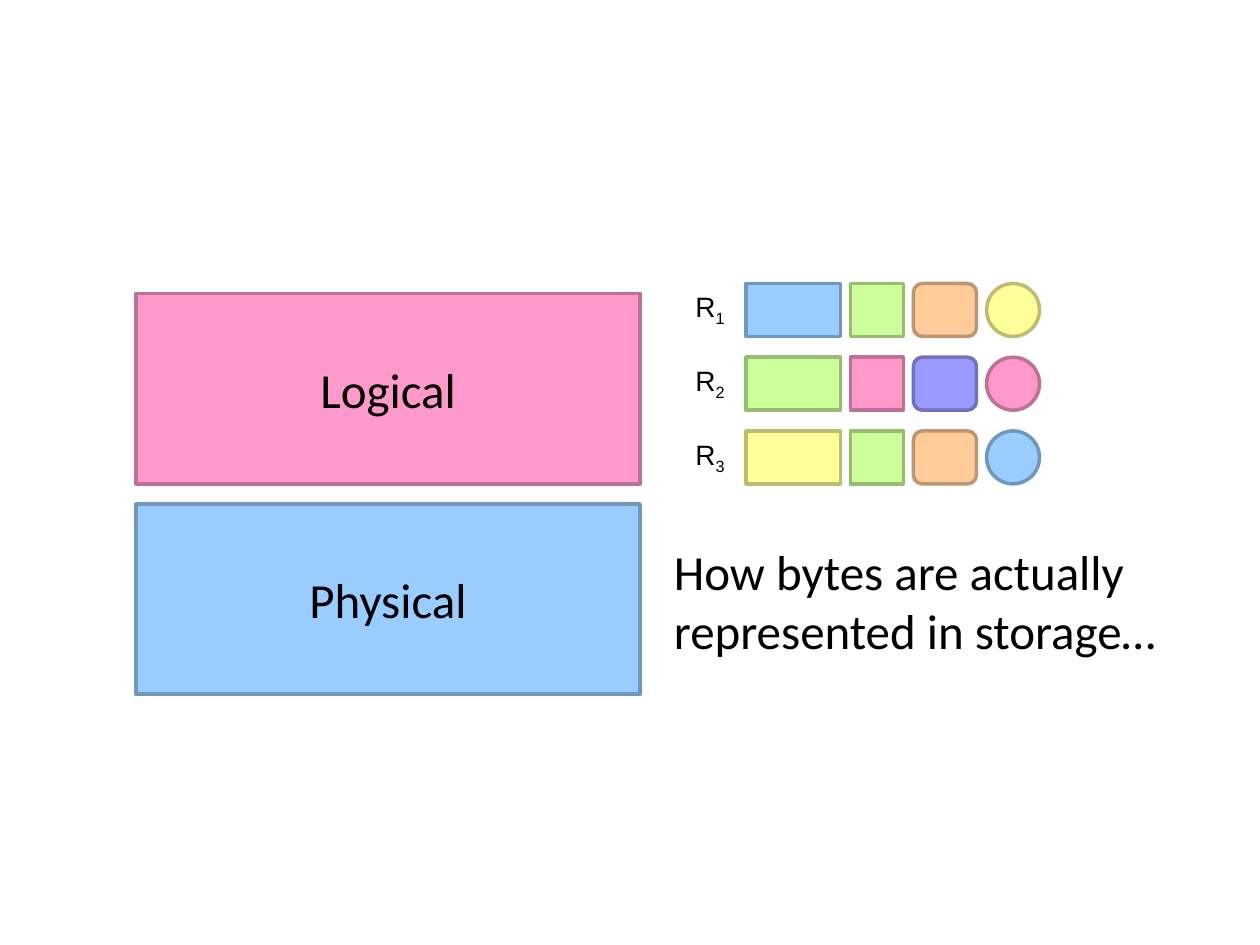
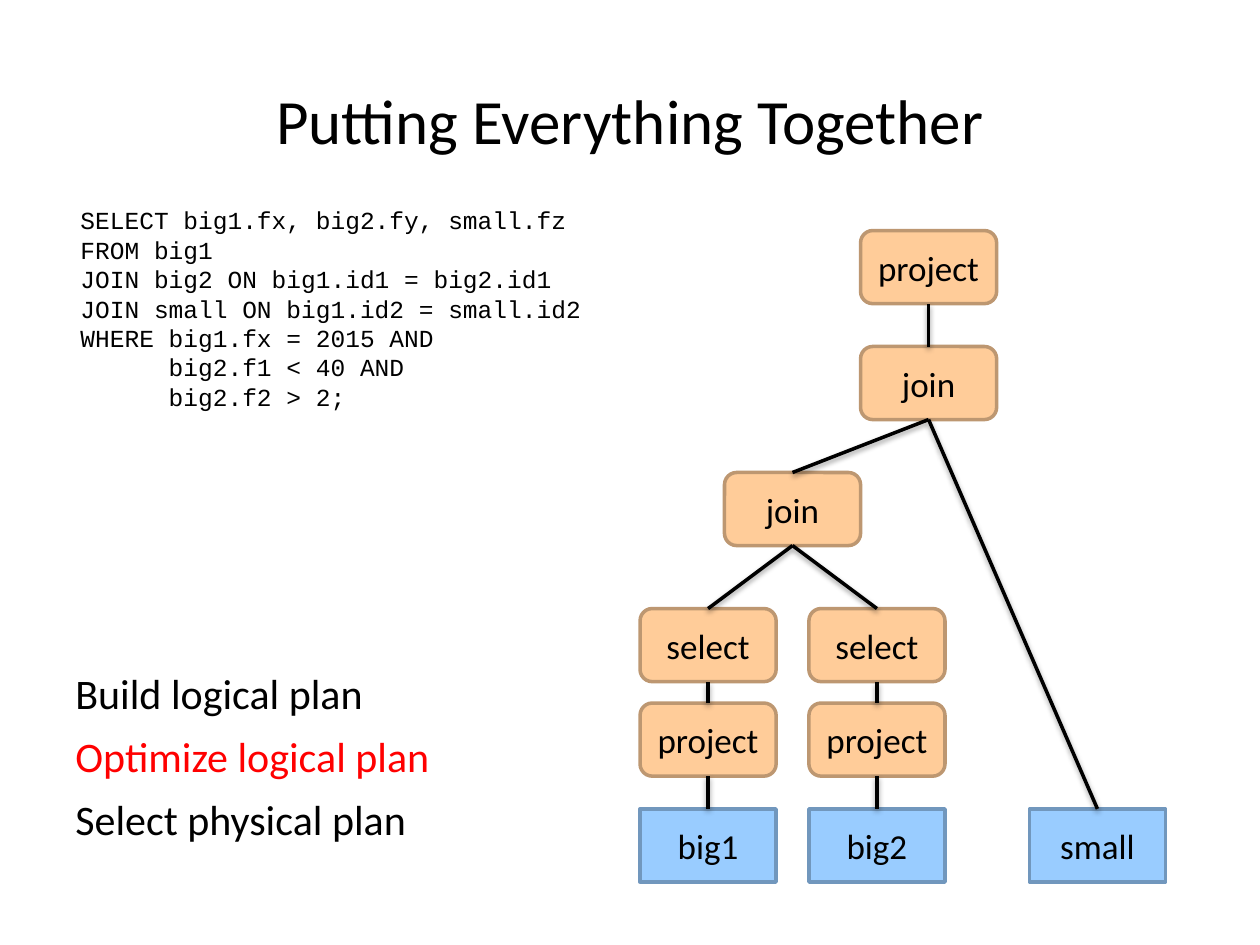
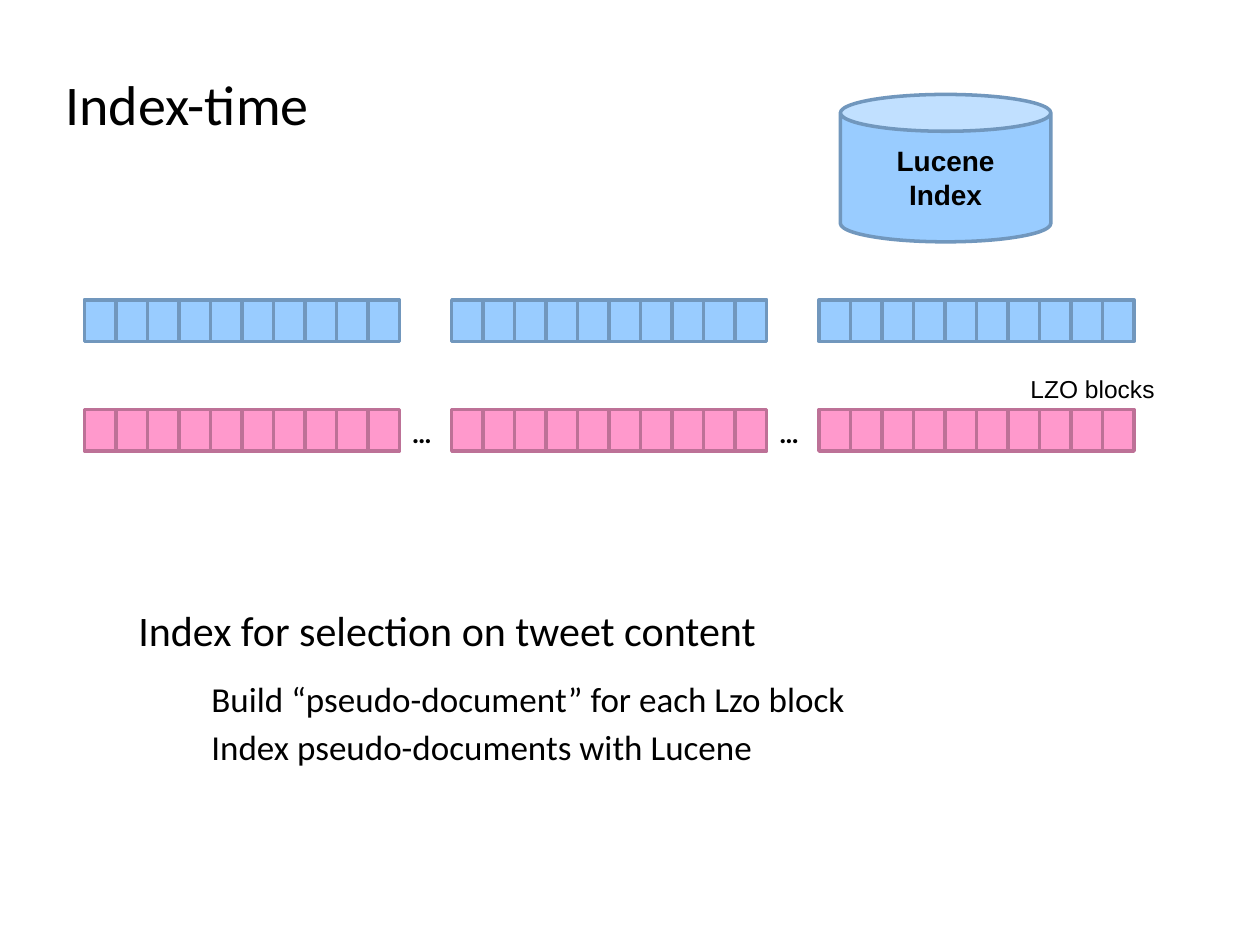
"""Build three slides on storage layers, query planning and indexing."""
from dataclasses import dataclass

import lxml.etree
import pptx
import pptx.dml.color
import pptx.enum.shapes
import pptx.enum.text
import pptx.oxml
import pptx.oxml.ns
import pptx.presentation
import pptx.shapes.autoshape
import pptx.slide
import pptx.text.text
import pptx.util
from pptx.dml.color import RGBColor
from pptx.enum.shapes import MSO_SHAPE
from pptx.util import Inches

BLACK = RGBColor(0x00, 0x00, 0x00)
RED = RGBColor(0xFF, 0x00, 0x00)
BODY_FONT = "Calibri"
LABEL_FONT = "Arial"
CODE_FONT = "Courier New"
LINE_WIDTH = pptx.util.Pt(2)
LEFT = pptx.enum.text.PP_ALIGN.LEFT
CENTER = pptx.enum.text.PP_ALIGN.CENTER


@dataclass(frozen=True)
class Tone:
    """A fill colour with its darker outline."""
    fill: RGBColor
    line: RGBColor


BLUE = Tone(RGBColor(0x99, 0xCC, 0xFF), RGBColor(0x71, 0x97, 0xBD))
PINK = Tone(RGBColor(0xFF, 0x99, 0xCC), RGBColor(0xBD, 0x71, 0x97))
GREEN = Tone(RGBColor(0xCC, 0xFF, 0x99), RGBColor(0x97, 0xBD, 0x71))
ORANGE = Tone(RGBColor(0xFF, 0xCC, 0x99), RGBColor(0xBD, 0x97, 0x71))
YELLOW = Tone(RGBColor(0xFF, 0xFF, 0x99), RGBColor(0xBD, 0xBD, 0x71))
VIOLET = Tone(RGBColor(0x99, 0x99, 0xFF), RGBColor(0x71, 0x71, 0xBD))


@dataclass(frozen=True)
class Style:
    """The look of a piece of text."""
    size: int
    font: str = BODY_FONT
    color: RGBColor = BLACK
    bold: bool = False
    align: pptx.enum.text.PP_ALIGN = LEFT


@dataclass(frozen=True)
class Label:
    """A text box with its place in inches."""
    text: str
    left: float
    top: float
    width: float
    height: float
    style: Style
    wrap: bool = False


@dataclass(frozen=True)
class Block:
    """A filled shape with its place in inches and optional text."""
    left: float
    top: float
    width: float
    height: float
    tone: Tone
    kind: MSO_SHAPE = MSO_SHAPE.RECTANGLE
    text: str = ""
    style: Style = Style(20, align=CENTER)


@dataclass(frozen=True)
class Node:
    """A step or table of the query plan, with the name of its parent."""
    name: str
    text: str
    left: float
    top: float
    parent: str = ""
    is_table: bool = False


LAYER_STYLE = Style(28, align=CENTER)
STEP_STYLE = Style(24)
DETAIL_STYLE = Style(20)
DOTS_STYLE = Style(16, bold=True)

FIELDS = (
    (5.92, 0.75, MSO_SHAPE.RECTANGLE),
    (6.75, 0.42, MSO_SHAPE.RECTANGLE),
    (7.25, 0.5, MSO_SHAPE.ROUNDED_RECTANGLE),
    (7.83, 0.42, MSO_SHAPE.OVAL),
)
RECORDS = (
    (BLUE, GREEN, ORANGE, YELLOW),
    (GREEN, PINK, VIOLET, PINK),
    (YELLOW, GREEN, ORANGE, BLUE),
)
RECORD_PITCH = 1.17 / 2

PLAN = (
    Node("output", "project", 6.83, 1.83),
    Node("outer join", "join", 6.83, 2.75, "output"),
    Node("inner join", "join", 5.75, 3.75, "outer join"),
    Node("select1", "select", 5.08, 4.83, "inner join"),
    Node("select2", "select", 6.42, 4.83, "inner join"),
    Node("project1", "project", 5.08, 5.58, "select1"),
    Node("project2", "project", 6.42, 5.58, "select2"),
    Node("big1", "big1", 5.08, 6.42, "project1", True),
    Node("big2", "big2", 6.42, 6.42, "project2", True),
    Node("small", "small", 8.17, 6.42, "outer join", True),
)
PLAN_STEPS = (
    ("Build logical plan", BLACK),
    ("Optimize logical plan", RED),
    ("Select physical plan", BLACK),
)
QUERY = """SELECT big1.fx, big2.fy, small.fz
FROM big1
JOIN big2 ON big1.id1 = big2.id1
JOIN small ON big1.id2 = small.id2
WHERE big1.fx = 2015 AND
      big2.f1 < 40 AND
      big2.f2 > 2;"""

STRIP_COUNT = 3
STRIP_LEFT = 0.67
STRIP_PITCH = 5.83 / 2
CELL_COUNT = 10
CELL_WIDTH = 0.25
CELL_HEIGHT = 0.33
STRIP_ROWS = ((3.25, PINK), (2.38, BLUE))

INDEX_LABELS = (
    Label("LZO blocks", 8.08, 2.92, 1.19, 0.34, Style(14, LABEL_FONT)),
    Label("Index for selection on tweet content", 1, 4.75, 5.23, 0.5, STEP_STYLE),
    Label("Build “pseudo-document” for each Lzo block", 1.58, 5.33, 5.31, 0.44, DETAIL_STYLE),
    Label("Index pseudo-documents with Lucene", 1.58, 5.71, 4.53, 0.44, DETAIL_STYLE),
    Label("Index-time", 0.42, 0.5, 2.16, 0.64, Style(32)),
)

SHADOW_XML = (
    f'<a:effectLst {pptx.oxml.ns.nsdecls("a")}>'
    '<a:outerShdw blurRad="40000" dist="20000" dir="5400000" rotWithShape="0">'
    '<a:srgbClr val="000000"><a:alpha val="38000"/></a:srgbClr>'
    '</a:outerShdw></a:effectLst>'
)


def format_span(span: pptx.text.text._Run, style: Style) -> None:
    """Apply a style to one run."""
    span.font.name = style.font
    span.font.size = pptx.util.Pt(style.size)
    span.font.bold = style.bold
    span.font.color.rgb = style.color


def write(frame: pptx.text.text.TextFrame, text: str, style: Style) -> None:
    """Fill a text frame and format all of its runs."""
    frame.text = text
    for para in frame.paragraphs:
        para.alignment = style.align
        for span in para.runs:
            format_span(span, style)


def add_label(page: pptx.slide.Slide, label: Label) -> pptx.shapes.autoshape.Shape:
    """Draw a text box."""
    box = page.shapes.add_textbox(
        Inches(label.left), Inches(label.top), Inches(label.width), Inches(label.height))
    box.text_frame.word_wrap = label.wrap
    write(box.text_frame, label.text, label.style)
    return box


def add_block(page: pptx.slide.Slide, block: Block) -> pptx.shapes.autoshape.Shape:
    """Draw a filled shape."""
    shape = page.shapes.add_shape(
        block.kind, Inches(block.left), Inches(block.top),
        Inches(block.width), Inches(block.height))
    shape.shadow.inherit = False
    shape.fill.solid()
    shape.fill.fore_color.rgb = block.tone.fill
    shape.line.color.rgb = block.tone.line
    shape.line.width = LINE_WIDTH
    if block.text:
        write(shape.text_frame, block.text, block.style)
    return shape


def add_edge(page: pptx.slide.Slide, child: pptx.shapes.autoshape.Shape,
             parent: pptx.shapes.autoshape.Shape) -> None:
    """Join the top of a child to the bottom of its parent."""
    edge = page.shapes.add_connector(pptx.enum.shapes.MSO_CONNECTOR.STRAIGHT, 0, 0, 0, 0)
    edge.begin_connect(child, 0)
    edge.end_connect(parent, 2)
    edge.line.color.rgb = BLACK
    edge.line.width = LINE_WIDTH
    edge._element.spPr.append(pptx.oxml.parse_xml(SHADOW_XML))


def add_record(page: pptx.slide.Slide, number: int, tones: tuple[Tone, ...]) -> None:
    """Draw one numbered record and its fields."""
    top = 2.25 + (number - 1) * RECORD_PITCH
    style = Style(16, LABEL_FONT)
    name = add_label(page, Label("R", 5.42, top, 0.45, 0.37, style))
    index = name.text_frame.paragraphs[0].add_run()
    index.text = str(number)
    format_span(index, style)
    index._r.get_or_add_rPr().set("baseline", "-25000")
    for (left, width, kind), tone in zip(FIELDS, tones):
        add_block(page, Block(left, top, width, 0.42, tone, kind))


def build_layers(page: pptx.slide.Slide) -> None:
    """Show the logical and physical layers."""
    for text, top, tone in (("Logical", 2.33, PINK), ("Physical", 4, BLUE)):
        add_block(page, Block(1.08, top, 4, 1.51, tone, text=text, style=LAYER_STYLE))
    add_label(page, Label("How bytes are actually represented in storage…",
                          5.25, 4.25, 4.42, 1.04, Style(28), True))
    for number, tones in enumerate(RECORDS, start=1):
        add_record(page, number, tones)


def build_plan(page: pptx.slide.Slide) -> None:
    """Show a query with its plan tree."""
    add_label(page, Label("Putting Everything Together", 0, 0.6, 10, 0.75,
                          Style(36, align=CENTER), True))
    add_label(page, Label(QUERY, 0.54, 1.58, 4.21, 1.75, Style(14, CODE_FONT)))
    for row, (text, color) in enumerate(PLAN_STEPS):
        add_label(page, Label(text, 0.5, 5.25 + row * 0.5, 4, 0.5,
                              Style(24, color=color), True))
    shapes = {}
    for node in PLAN:
        tone, kind = ((BLUE, MSO_SHAPE.RECTANGLE) if node.is_table
                      else (ORANGE, MSO_SHAPE.ROUNDED_RECTANGLE))
        shapes[node.name] = add_block(
            page, Block(node.left, node.top, 1.08, 0.58, tone, kind, node.text))
    for node in PLAN:
        if node.parent:
            add_edge(page, shapes[node.name], shapes[node.parent])


def build_index(page: pptx.slide.Slide) -> None:
    """Show blocks of data and the index built over them."""
    for top, tone in STRIP_ROWS:
        for strip in range(STRIP_COUNT):
            for cell in range(CELL_COUNT):
                left = STRIP_LEFT + strip * STRIP_PITCH + cell * CELL_WIDTH
                add_block(page, Block(left, top, CELL_WIDTH, CELL_HEIGHT, tone))
    for gap in range(STRIP_COUNT - 1):
        left = STRIP_LEFT + CELL_COUNT * CELL_WIDTH + gap * STRIP_PITCH
        add_label(page, Label("…", left, 3.25, 0.43, 0.37, DOTS_STYLE))
    add_block(page, Block(6.67, 0.75, 1.67, 1.17, BLUE, MSO_SHAPE.CAN, "Lucene\nIndex",
                          Style(16, LABEL_FONT, bold=True, align=CENTER)))
    for label in INDEX_LABELS:
        add_label(page, label)


def main() -> None:
    """Build and save the deck."""
    deck = pptx.Presentation()
    deck.slide_width = Inches(10)
    deck.slide_height = Inches(7.5)
    for build in (build_layers, build_plan, build_index):
        build(deck.slides.add_slide(deck.slide_layouts[6]))
    deck.save("out.pptx")


if __name__ == "__main__":
    main()
